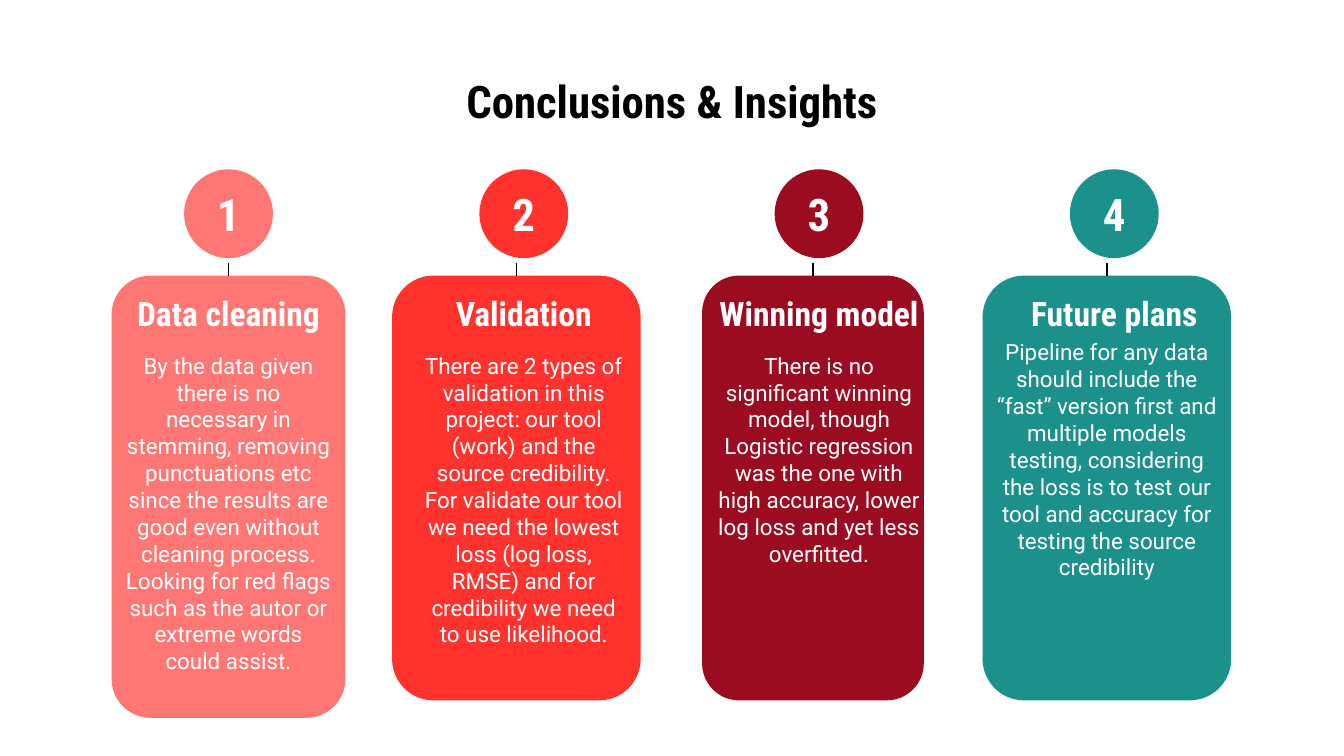
"""Build the slide of four numbered conclusion cards."""
import dataclasses

import pptx
import pptx.dml.color
import pptx.enum.shapes
import pptx.enum.text
import pptx.oxml
import pptx.util

Cm = pptx.util.Cm
Pt = pptx.util.Pt
Rgb = pptx.dml.color.RGBColor.from_string
Shape = pptx.enum.shapes.MSO_SHAPE
Anchor = pptx.enum.text.MSO_ANCHOR


@dataclasses.dataclass(frozen=True)
class Theme:
    """Colours, fonts and type sizes of the slide."""
    black: str = "000000"
    white: str = "FFFFFF"
    fills: tuple = ("FF7774", "FF322E", "9B0C21", "1C918B")
    bold: str = "Roboto Condensed"
    plain: str = "Roboto"
    title: int = 24
    head: int = 18
    body: int = 12


@dataclasses.dataclass(frozen=True)
class Card:
    """One conclusion: its words, its panel and its body text box."""
    head: str
    body: str
    panel: tuple
    text: tuple


THEME = Theme()
LEFT, PITCH, WIDTH = 2.11, 5.58, 4.42
TOP, DISC = 5.21, 1.68

CARDS = (
    Card("Data cleaning",
         "By the data given there is no necessary in stemming, removing "
         "punctuations etc since the results are good even without cleaning "
         "process. Looking for red flags such as the autor or extreme words "
         "could assist.",
         (0, WIDTH, 8.36), (0, 6.4, WIDTH, 6.83)),
    Card("Validation",
         "There are 2 types of validation in this project: our tool (work) "
         "and the source credibility. For validate our tool we need the "
         "lowest loss (log loss, RMSE) and for credibility we need to use "
         "likelihood.",
         (-0.28, 4.7, 8.03), (0, 6.4, WIDTH, 2.49)),
    Card("Winning model",
         "There is no significant winning model, though Logistic regression "
         "was the one with high accuracy, lower log loss and yet less "
         "overfitted.",
         (0, 4.19, 8.03), (0, 6.4, WIDTH, 4.83)),
    Card("Future plans",
         "Pipeline for any data should include the “fast” version first and "
         "multiple models testing, considering the loss is to test our tool "
         "and accuracy for testing the source credibility",
         (-0.28, 4.7, 8.03), (-0.28, 6.15, 4.7, 6.17)),
)


def write(shape, text, size, colour, font=THEME.bold, anchor=Anchor.MIDDLE):
    """Put centred text in a shape with even margins."""
    frame = shape.text_frame
    frame.text = text
    frame.word_wrap = True
    frame.vertical_anchor = anchor
    frame.margin_left = frame.margin_right = Cm(0.25)
    frame.margin_top = frame.margin_bottom = Cm(0.25)
    line = frame.paragraphs[0]
    line.alignment = pptx.enum.text.PP_ALIGN.CENTER
    face = line.runs[0].font
    face.name, face.size = font, Pt(size)
    face.bold = font == THEME.bold
    face.color.rgb = Rgb(colour)


def label(shapes, box, *args, **kwargs):
    """Add a text box at the given box."""
    write(shapes.add_textbox(*map(Cm, box)), *args, **kwargs)


def solid(shapes, kind, box, colour):
    """Add a filled shape without outline or shadow."""
    shape = shapes.add_shape(kind, *map(Cm, box))
    shape.shadow.inherit = False
    shape.fill.solid()
    shape.fill.fore_color.rgb = Rgb(colour)
    shape.line.fill.background()
    return shape


def stem(shapes, x, start, end):
    """Add the thin line that joins a card to its number."""
    line = shapes.add_connector(
        pptx.enum.shapes.MSO_CONNECTOR.STRAIGHT,
        Cm(x), Cm(start), Cm(x), Cm(end))
    line.line.color.rgb = Rgb(THEME.black)
    line.line.width = Pt(0.75)
    effect = pptx.oxml.parse_xml(
        '<a:effectLst xmlns:a='
        '"http://schemas.openxmlformats.org/drawingml/2006/main"/>')
    line._element.spPr.append(effect)


def column(slide, left, number, card, colour):
    """Draw one numbered card in the column that starts at left."""
    shapes = slide.shapes.add_group_shape().shapes
    shift, width, height = card.panel
    solid(shapes, Shape.ROUNDED_RECTANGLE,
          (left + shift, TOP, width, height), colour)
    stem(shapes, left + shift + width / 2, TOP, TOP - 0.23)
    disc = solid(shapes, Shape.OVAL,
                 (left + (WIDTH - DISC) / 2, 3.2, DISC, DISC), colour)
    write(disc, str(number), THEME.title, THEME.white)
    label(shapes, (left, 5.44, WIDTH, 0.97),
          card.head, THEME.head, THEME.white)
    inset, top, wide, tall = card.text
    label(shapes, (left + inset, top, wide, tall), card.body, THEME.body,
          THEME.white, font=THEME.plain, anchor=Anchor.TOP)


def main():
    """Build and save the deck."""
    deck = pptx.Presentation()
    deck.slide_width, deck.slide_height = Cm(25.4), Cm(14.29)
    slide = deck.slides.add_slide(deck.slide_layouts[6])
    label(slide.shapes, (1.27, 1.14, 22.86, 1.6), "Conclusions & Insights",
          THEME.title, THEME.black, anchor=Anchor.TOP)
    for index, (card, colour) in enumerate(zip(CARDS, THEME.fills)):
        column(slide, LEFT + index * PITCH, index + 1, card, colour)
    deck.save("out.pptx")


if __name__ == "__main__":
    main()
